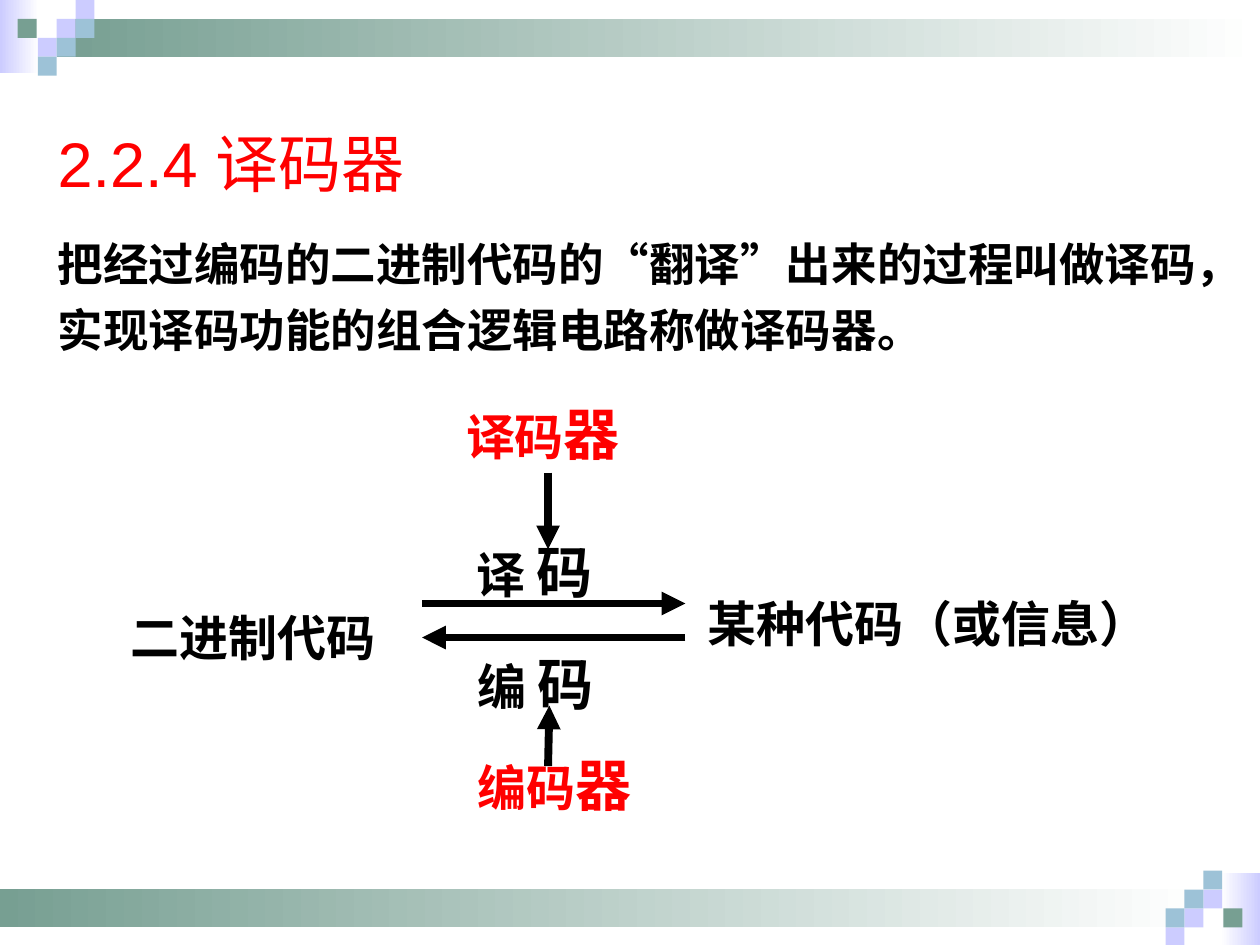
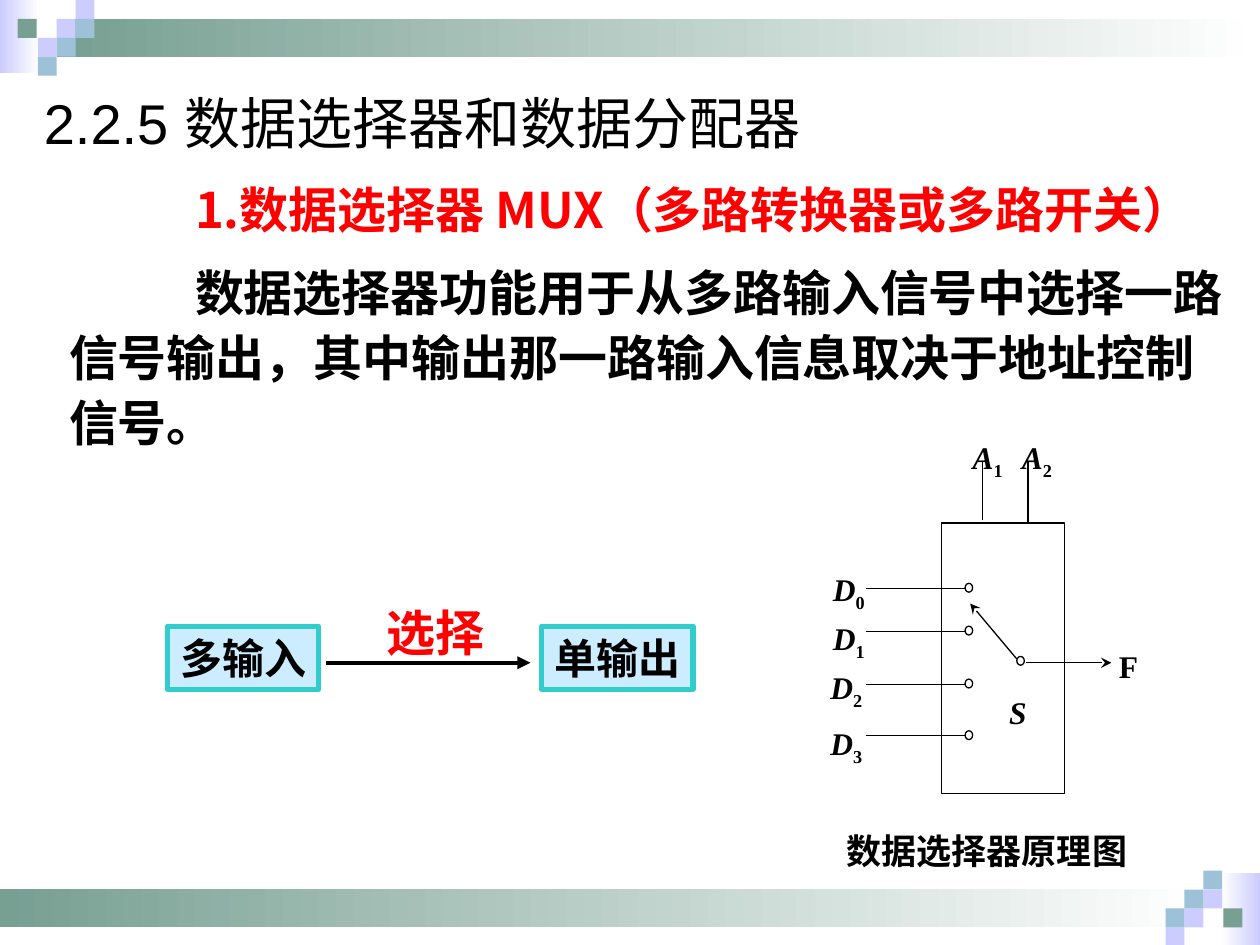
from pptx import Presentation
from pptx.util import Inches, Pt
from pptx.dml.color import RGBColor
from pptx.enum.shapes import MSO_SHAPE as Kind, MSO_CONNECTOR as Link
from pptx.enum.text import PP_ALIGN as Align, MSO_ANCHOR as Anchor
from pptx.oxml.ns import qn
from lxml.etree import SubElement

tint = RGBColor.from_string
BLACK, RED, WHITE = "000000", "FF0000", "FFFFFF"
GREEN, LILAC, BLUE = "779F92", "CCCCFF", "9DC2D7"
SANS, SERIF, ARIAL = "Noto Sans CJK SC", "Times New Roman", "Arial"


def draw(page, kind, place, fill=None, edge=None, width=0.75):
    shape = page.shapes.add_shape(kind, *map(Inches, place))
    shape.shadow.inherit = False
    if isinstance(fill, tuple):
        shape.fill.gradient()
        shape.fill.gradient_angle = 0
        for stop, hue in zip(shape.fill.gradient_stops, fill):
            stop.color.rgb = tint(hue)
    elif fill:
        shape.fill.solid()
        shape.fill.fore_color.rgb = tint(fill)
    else:
        shape.fill.background()
    if edge:
        shape.line.color.rgb = tint(edge)
        shape.line.width = Pt(width)
    else:
        shape.line.fill.background()
    return shape


def write(para, runs, face=SANS, hue=BLACK, bold=True):
    for text, size in runs:
        run = para.add_run()
        run.text = text
        run.font.size = Pt(size)
        run.font.name = face
        run.font.bold = bold
        run.font.color.rgb = tint(hue)
        SubElement(run.font._element, qn("a:ea")).set("typeface", SANS)


deck = Presentation()
deck.slide_width, deck.slide_height = Inches(10), Inches(7.5)
pages = [deck.slides.add_slide(deck.slide_layouts[6]) for n in range(2)]
first, second = pages

side = 0.15
tiles = [(0.45, 0.15, LILAC), (0.6, 0, LILAC), (0.6, 0.15, BLUE),
         (0.3, 0.3, LILAC), (0.14, 0.15, GREEN), (0.45, 0.3, BLUE),
         (0.3, 0.45, BLUE)]
for page in pages:
    draw(page, Kind.RECTANGLE, (0, 0, 0.31, 0.58), (LILAC, WHITE))
    draw(page, Kind.RECTANGLE, (0.45, 0.15, 9.55, 0.3), (GREEN, WHITE))
    draw(page, Kind.RECTANGLE, (9.69, 6.93, 0.31, 0.58), (WHITE, LILAC))
    draw(page, Kind.RECTANGLE, (0, 7.06, 9.55, 0.3), (GREEN, WHITE))
    for x, y, hue in tiles:
        draw(page, Kind.RECTANGLE, (x, y, side, side), hue)
        draw(page, Kind.RECTANGLE, (10 - side - x, 7.36 - y, side, side), hue)

texts = [
    (first, (0.36, 0.94, 9, 0.8), [("2.2.4 译码器", 36)], ARIAL, RED),
    (first, (0.36, 1.74, 9.47, 1.14),
     [("把经过编码的二进制代码的“翻译”出来的过程叫做译码，"
       "实现译码功能的组合逻辑电路称做译码器。", 26)], SERIF, BLACK),
    (first, (0.94, 4.77, 2.34, 0.57), [("二进制代码", 28)], SANS, BLACK),
    (first, (5.52, 4.66, 4.13, 0.57), [("某种代码（或信息）", 28)], SANS, BLACK),
    (first, (3.68, 4.22, 1.92, 0.64), [("译 ", 28), ("码", 32)], SANS, BLACK),
    (first, (3.69, 5.11, 1.43, 0.64), [("编 ", 28), ("码", 32)], SANS, BLACK),
    (first, (3.6, 3.12, 1.62, 0.64), [("译码", 28), ("器", 32)], SANS, RED),
    (first, (3.69, 5.91, 1.62, 0.64), [("编码", 28), ("器", 32)], SANS, RED),
    (second, (2.97, 4.73, 1.17, 0.57), [("选择", 28)], SANS, RED),
]
for page, place, runs, face, hue in texts:
    frame = page.shapes.add_textbox(*map(Inches, place)).text_frame
    frame.word_wrap = True
    para = frame.paragraphs[0]
    write(para, runs, face, hue, face != ARIAL)
    if face == SERIF:
        para.line_spacing = 1.2
        para.space_before = Pt(9.8)

frame = second.shapes.add_textbox(*map(Inches, (0.25, 0.6, 9.56, 3.06))).text_frame
frame.word_wrap = True
body = [
    ("2.2.5 数据选择器和数据分配器", 32, ARIAL, BLACK, 12),
    ("1.数据选择器 MUX（多路转换器或多路开关）", 28, SANS, RED, 10.5),
    ("数据选择器功能用于从多路输入信号中选择一路信号输出，"
     "其中输出那一路输入信息取决于地址控制信号。", 28, SANS, BLACK, 10.5),
]
for n, (text, size, face, hue, gap) in enumerate(body):
    para = frame.add_paragraph() if n else frame.paragraphs[0]
    para.line_spacing = 1.1
    para.space_before = Pt(gap)
    if n:
        props = para._p.get_or_add_pPr()
        props.set("marL", str(Inches(0.2)))
        props.set("indent", str(Inches(1)))
    write(para, [(text, size)], face, hue, n > 0)

for x, text in [(1.33, "多输入"), (4.3, "单输出")]:
    shape = draw(second, Kind.RECTANGLE, (x, 4.97, 1.2, 0.5), "CCECFF", "33CCCC", 3)
    frame = shape.text_frame
    frame.word_wrap = False
    frame.vertical_anchor = Anchor.MIDDLE
    frame.paragraphs[0].alignment = Align.CENTER
    write(frame.paragraphs[0], [(text, 24)])

inputs = [4.67, 5.01, 5.43, 5.84]
lines = [
    (first, 3.35, 4.79, 5.44, 4.79, 4.5, "triangle"),
    (first, 5.44, 5.06, 3.35, 5.06, 4.5, "triangle"),
    (first, 4.35, 3.75, 4.35, 4.36, 4.5, "triangle"),
    (first, 4.35, 6.08, 4.36, 5.6, 4.5, "triangle"),
    (second, 2.59, 5.26, 4.21, 5.26, 2.5, "triangle"),
    (second, 8.14, 5.26, 8.82, 5.26, 0.75, "stealth"),
    (second, 8.07, 5.23, 7.7, 4.79, 0.75, "stealth"),
    (second, 7.8, 4.13, 7.8, 3.67, 0.75, None),
    (second, 8.16, 4.15, 8.16, 3.67, 0.75, None),
]
lines += [(second, 6.87, y, 7.72, y, 0.75, None) for y in inputs]
for page, *ends, width, tip in lines:
    line = page.shapes.add_connector(Link.STRAIGHT, *map(Inches, ends))
    line.line.color.rgb = tint(BLACK)
    line.line.width = Pt(width)
    if tip:
        SubElement(line.line._get_or_add_ln(), qn("a:tailEnd")).set("type", tip)
    SubElement(line._element.spPr, qn("a:effectLst"))

for x, y in [(7.66, y - 0.04) for y in inputs] + [(8.07, 5.21)]:
    draw(second, Kind.OVAL, (x, y, 0.06, 0.07), WHITE, BLACK)
draw(second, Kind.RECTANGLE, (7.47, 4.15, 0.98, 2.15), None, BLACK)

labels = [
    (7.54, 3.29, 0.6, "A", "1", 18), (7.93, 3.29, 0.62, "A", "2", 18),
    (6.43, 4.34, 0.63, "D", "0", 18), (6.43, 4.73, 0.63, "D", "1", 18),
    (6.41, 5.12, 0.63, "D", "2", 18), (6.41, 5.56, 0.63, "D", "3", 18),
    (7.83, 5.33, 0.5, "S", "", 18), (8.7, 4.97, 0.63, "F", "", 18),
    (6.54, 6.4, 3, "数据选择器原理图", "", 20),
]
for x, y, width, text, sub, size in labels:
    frame = second.shapes.add_textbox(*map(Inches, (x, y, width, 0.63))).text_frame
    frame.word_wrap = True
    frame.margin_left = Inches(0.18)
    para = frame.paragraphs[0]
    para.line_spacing = 1.4
    write(para, [(text, size)], SERIF)
    para.runs[0].font.italic = text in "ADS"
    if sub:
        write(para, [(sub, size)], SERIF)
        para.runs[1].font._element.set("baseline", "-25000")

deck.save("out.pptx")
